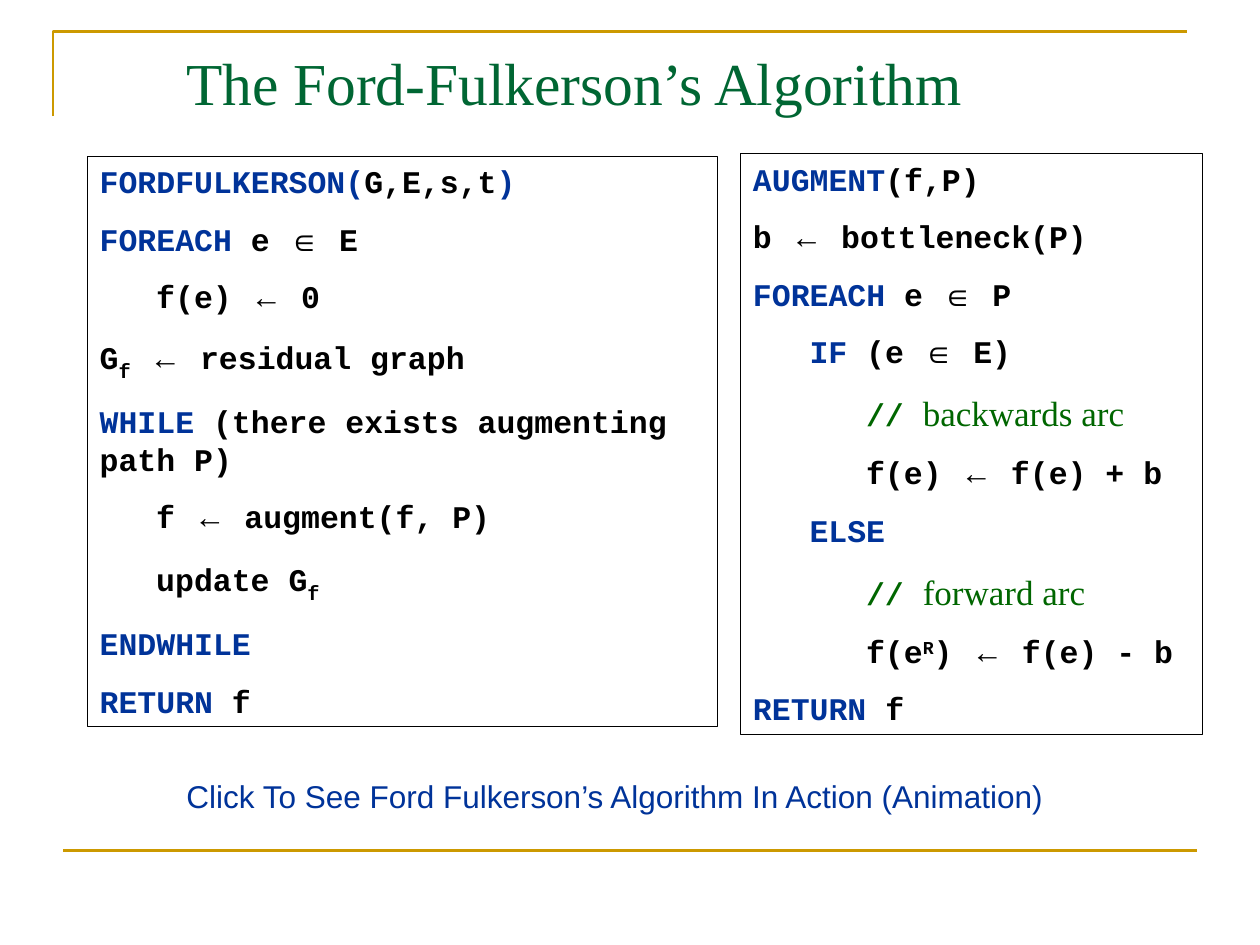
from lxml import etree
from pptx import Presentation
from pptx.dml.color import RGBColor
from pptx.enum.shapes import MSO_CONNECTOR, MSO_SHAPE
from pptx.enum.text import MSO_ANCHOR, MSO_AUTO_SIZE, PP_ALIGN
from pptx.oxml.ns import qn
from pptx.util import Cm, Pt

STRAIGHT = MSO_CONNECTOR.STRAIGHT
RECTANGLE = MSO_SHAPE.RECTANGLE
LEFT, CENTER = PP_ALIGN.LEFT, PP_ALIGN.CENTER
TOP, MIDDLE = MSO_ANCHOR.TOP, MSO_ANCHOR.MIDDLE
GROW = MSO_AUTO_SIZE.SHAPE_TO_FIT_TEXT

COLORS = {"gold": "CC9900", "blue": "003399", "black": "000000",
          "title": "006633", "comment": "006600"}
STYLES = {
    "key": ("Courier New", 18, "blue", True, 0),
    "code": ("Courier New", 18, "black", True, 0),
    "symbol": ("Arial", 18, "black", True, 0),
    "sub": ("Courier New", 20, "black", True, -25),
    "sup": ("Courier New", 18, "black", True, 30),
    "slashes": ("Courier New", 18, "comment", True, 0),
    "comment": ("Times New Roman", 20, "comment", False, 0),
    "title": ("Times New Roman", 34, "title", False, 0),
    "caption": ("Arial", 18, "blue", False, 0),
}
INDENT = Cm(1.14)


def color(name):
    return RGBColor.from_string(COLORS[name])


def add_span(para, text, style):
    name, size, tint, bold, baseline = STYLES[style]
    span = para.add_run()
    span.text = text
    span.font.name = name
    span.font.size = Pt(size)
    span.font.bold = bold
    span.font.color.rgb = color(tint)
    if baseline:
        span.font._element.set("baseline", str(baseline * 1000))


deck = Presentation()
deck.slide_width, deck.slide_height = Cm(25.4), Cm(19.05)
page = deck.slides.add_slide(deck.slide_layouts[5])

builder = page.shapes.build_freeform(Cm(1.07), Cm(2.34))
builder.add_line_segments([(Cm(1.07), Cm(0.64)), (Cm(23.93), Cm(0.64))], close=False)
corner = builder.convert_to_shape()
corner.shadow.inherit = False
corner.fill.background()
rule = page.shapes.add_connector(STRAIGHT, Cm(1.27), Cm(17.15), Cm(24.13), Cm(17.15))
etree.SubElement(rule._element.spPr, qn("a:effectLst"))
for stroke in (corner, rule):
    stroke.line.color.rgb = color("gold")
    stroke.line.width = Pt(1.5)

ford_fulkerson = [
    (0, [("FORDFULKERSON(", "key"), ("G,E,s,t", "code"), (")", "key")]),
    (0, [("FOREACH ", "key"), ("e ", "code"), ("∈", "symbol"), (" E", "code")]),
    (1, [("f(e) ", "code"), ("←", "symbol"), (" 0", "code")]),
    (0, [("G", "code"), ("f", "sub"), (" ", "code"), ("←", "symbol"),
         (" residual graph", "code")]),
    (0, [("WHILE", "key"), (" (there exists augmenting path P)", "code")]),
    (1, [("f ", "code"), ("←", "symbol"), (" augment(f, P)", "code")]),
    (1, [("update G", "code"), ("f", "sub")]),
    (0, [("ENDWHILE", "key")]),
    (0, [("RETURN", "key"), (" f", "code")]),
]
augment = [
    (0, [("AUGMENT", "key"), ("(f,P)", "code")]),
    (0, [("b ", "code"), ("←", "symbol"), (" bottleneck(P)", "code")]),
    (0, [("FOREACH ", "key"), ("e ", "code"), ("∈", "symbol"), (" P", "code")]),
    (1, [("IF", "key"), (" (e ", "code"), ("∈", "symbol"), (" E)", "code")]),
    (2, [("// ", "slashes"), ("backwards arc", "comment")]),
    (2, [("f(e) ", "code"), ("←", "symbol"), (" f(e) + b", "code")]),
    (1, [("ELSE", "key")]),
    (2, [("// ", "slashes"), ("forward arc", "comment")]),
    (2, [("f(e", "code"), ("R", "sup"), (") ", "code"), ("←", "symbol"),
         (" f(e) - b", "code")]),
    (0, [("RETURN", "key"), (" f", "code")]),
]
listings = [
    (ford_fulkerson, Cm(1.76), Cm(3.15), Cm(12.7), Cm(11.5)),
    (augment, Cm(14.93), Cm(3.1), Cm(9.32), Cm(11.71)),
]
for lines, left, top, width, height in listings:
    box = page.shapes.add_shape(RECTANGLE, left, top, width, height)
    box.shadow.inherit = False
    box.fill.background()
    box.line.color.rgb = color("black")
    box.line.width = Pt(0.75)
    frame = box.text_frame
    frame.word_wrap = True
    frame.auto_size = GROW
    frame.vertical_anchor = TOP
    for number, (level, spans) in enumerate(lines):
        para = frame.add_paragraph() if number else frame.paragraphs[0]
        para.alignment = LEFT
        has_tall_end = spans[-1][1] in ("sub", "comment")
        para.space_before = Pt(12.5 if has_tall_end else 11.2)
        para._p.get_or_add_pPr().set("marL", str(level * INDENT))
        for text, style in spans:
            add_span(para, text, style)

title = page.shapes.title
title.left, title.top, title.width, title.height = Cm(3.5), Cm(0.76), Cm(22.86), Cm(1.78)
title.text_frame.vertical_anchor = MIDDLE
para = title.text_frame.paragraphs[0]
para.alignment = LEFT
add_span(para, "The Ford-Fulkerson’s Algorithm", "title")

caption = page.shapes.add_textbox(Cm(3.43), Cm(15.54), Cm(17.93), Cm(1.02))
caption.text_frame.word_wrap = False
caption.text_frame.auto_size = GROW
para = caption.text_frame.paragraphs[0]
para.alignment = CENTER
add_span(para, "Click To See Ford Fulkerson’s Algorithm In Action (Animation)", "caption")

deck.save("out.pptx")
